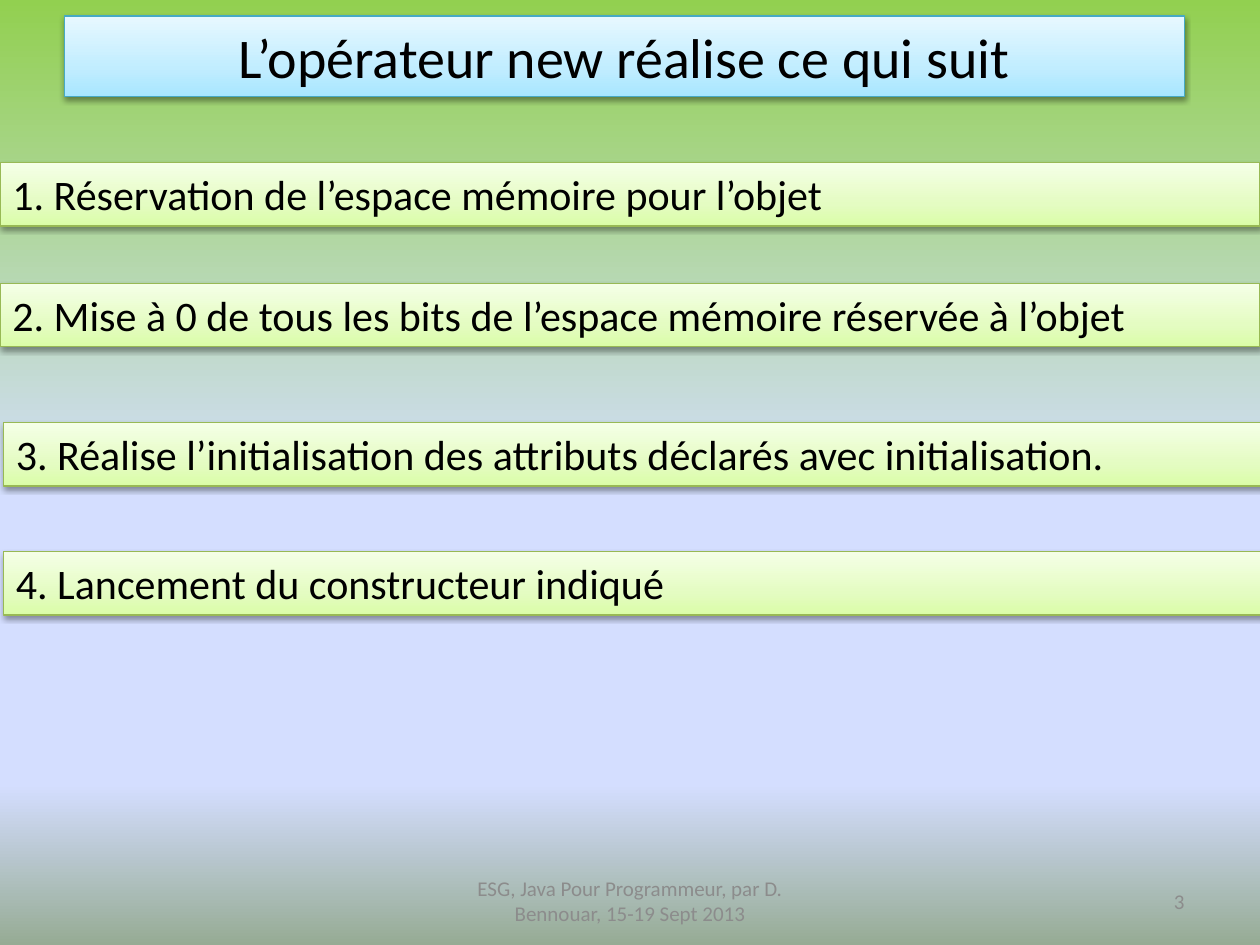
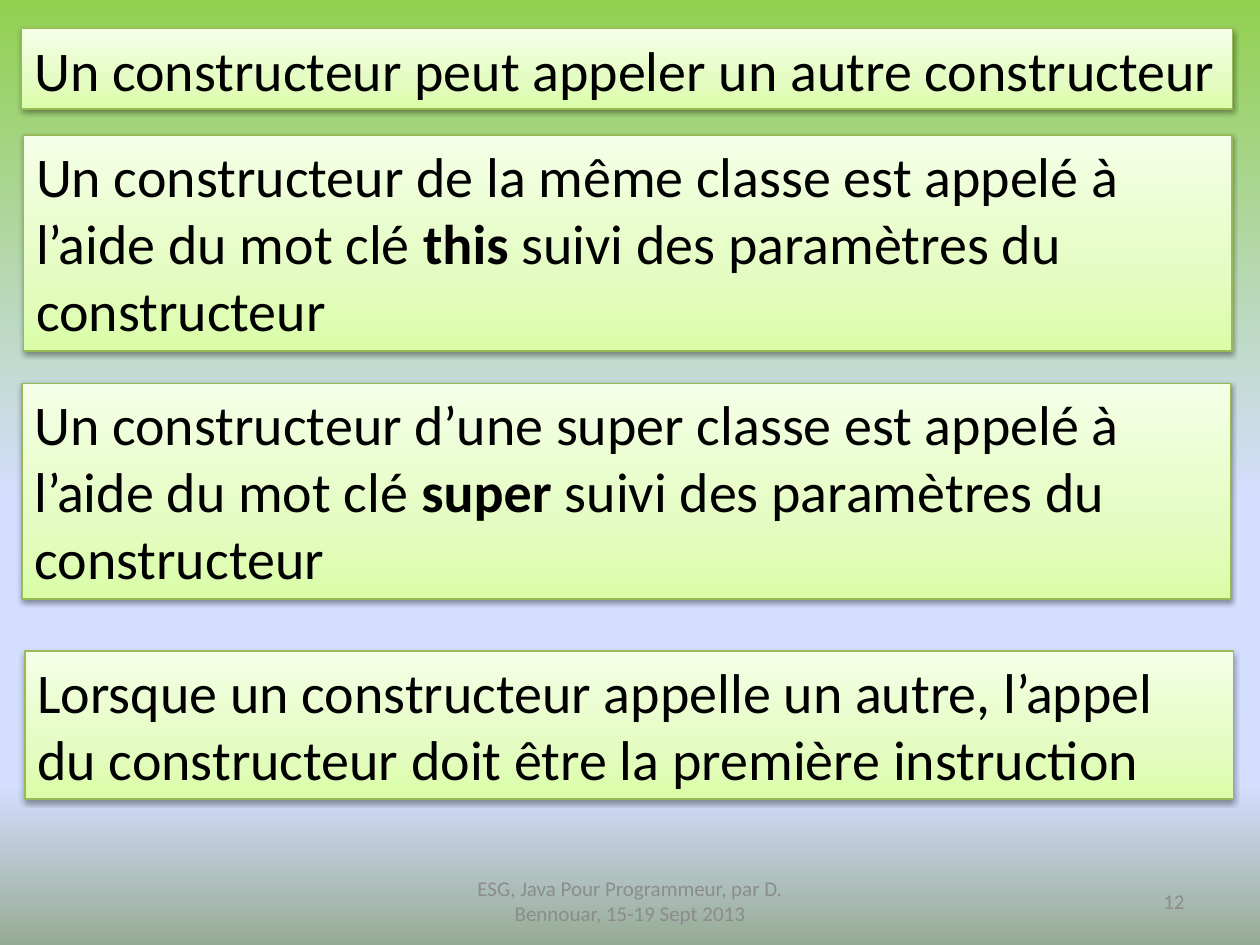
from lxml import etree
from pptx import Presentation
from pptx.dml.color import RGBColor
from pptx.enum.shapes import MSO_SHAPE
from pptx.enum.text import MSO_ANCHOR, MSO_AUTO_SIZE, PP_ALIGN
from pptx.oxml.ns import qn
from pptx.util import Pt

RECTANGLE = MSO_SHAPE.RECTANGLE
TOP, MIDDLE = MSO_ANCHOR.TOP, MSO_ANCHOR.MIDDLE
LEFT, CENTER, RIGHT = PP_ALIGN.LEFT, PP_ALIGN.CENTER, PP_ALIGN.RIGHT
GROW = MSO_AUTO_SIZE.SHAPE_TO_FIT_TEXT

FONT = "Calibri"
BLACK, GREY = "000000", "8C8C8C"
BACKGROUND = [(0, "92D050"), (53, "D4DEFF"), (83, "D4DEFF"), (100, "96AB94")]
GREEN = {"stops": [(0, "DAFDA7"), (35, "E4FCC2"), (100, "F5FFE7")], "line": "98B955"}
BLUE = {"stops": [(0, "A7E6FF"), (35, "C1EDFF"), (100, "E7F8FF")], "line": "46AAC5"}
DOWNWARD, UPWARD = 270, 90
INSET_HEIGHT, LINE_SPACING = 7.2, 1.21

FOOTER = "ESG, Java Pour Programmeur, par D. Bennouar, 15-19 Sept 2013"
FOOTER_TOP, FOOTER_HEIGHT = 500.5, 28.75

TITLE = "L’opérateur new réalise ce qui suit"
STEPS = [
    (0, 93, "1. Réservation de l’espace mémoire pour l’objet"),
    (0, 162, "2. Mise à 0 de tous les bits de l’espace mémoire réservée à l’objet"),
    (2, 241.5, "3. Réalise l’initialisation des attributs déclarés avec initialisation."),
    (2, 315.25, "4. Lancement du constructeur indiqué"),
]
RULES = [
    (12.5, 16.5, 692, 1, [("Un constructeur peut appeler un autre constructeur", False)]),
    (13.5, 77.25, 690.5, 3, [
        ("Un constructeur de la même classe est appelé à l’aide du mot clé ", False),
        ("this", True), (" suivi des paramètres du constructeur", False)]),
    (12.5, 219, 690.5, 3, [
        ("Un constructeur d’une super classe est appelé à l’aide du mot clé ", False),
        ("super", True), (" suivi des paramètres du constructeur", False)]),
    (14.25, 372, 690.5, 2, [
        ("Lorsque un constructeur appelle un autre, l’appel du constructeur "
         "doit être la première instruction", False)]),
]


def color(value):
    """Turn a hex string into a colour."""
    return RGBColor.from_string(value)


def paint_gradient(fill, owner, stops, angle):
    """Fill the owner element with a linear gradient."""
    fill.gradient()
    fill.gradient_angle = angle
    stop_list = next(owner.iter(qn("a:gsLst")))
    for stop in list(stop_list):
        stop_list.remove(stop)
    for position, value in stops:
        stop = etree.SubElement(stop_list, qn("a:gs"), pos=str(position * 1000))
        etree.SubElement(stop, qn("a:srgbClr"), val=value)


def add_shadow(shape):
    """Give the shape a soft shadow below it."""
    shape.shadow.inherit = False
    effects = next(shape._element.iter(qn("a:effectLst")))
    shadow = etree.SubElement(effects, qn("a:outerShdw"), blurRad=str(Pt(3.1)),
                              dist=str(Pt(1.6)), dir="5400000", rotWithShape="0")
    black = etree.SubElement(shadow, qn("a:srgbClr"), val=BLACK)
    etree.SubElement(black, qn("a:alpha"), val="38000")


def write(shape, runs, size, value, alignment, anchor):
    """Write one paragraph, run by run."""
    frame = shape.text_frame
    frame.word_wrap = True
    frame.vertical_anchor = anchor
    paragraph = frame.paragraphs[0]
    paragraph.alignment = alignment
    for text, bold in runs:
        run = paragraph.add_run()
        run.text = text
        run.font.name = FONT
        run.font.size = Pt(size)
        run.font.bold = bold
        run.font.color.rgb = color(value)


def add_panel(slide, left, top, width, runs, size, style=GREEN, alignment=LEFT, lines=1):
    """Add a shaded panel as high as its lines of text."""
    height = INSET_HEIGHT + lines * size * LINE_SPACING
    panel = slide.shapes.add_shape(RECTANGLE, Pt(left), Pt(top), Pt(width), Pt(height))
    paint_gradient(panel.fill, panel._element, style["stops"], UPWARD)
    panel.line.color.rgb = color(style["line"])
    panel.line.width = Pt(0.75)
    add_shadow(panel)
    write(panel, runs, size, BLACK, alignment, TOP)
    panel.text_frame.auto_size = GROW


def add_slide(presentation, number):
    """Add a slide with the shared background, footer and number."""
    slide = presentation.slides.add_slide(presentation.slide_layouts[6])
    paint_gradient(slide.background.fill, slide._element, BACKGROUND, DOWNWARD)
    for left, width, text, alignment in [(246, 228, FOOTER, CENTER),
                                         (516, 168, number, RIGHT)]:
        box = slide.shapes.add_textbox(Pt(left), Pt(FOOTER_TOP), Pt(width), Pt(FOOTER_HEIGHT))
        write(box, [(text, False)], 12, GREY, alignment, MIDDLE)
    return slide


def main():
    """Build and save the presentation."""
    presentation = Presentation()
    presentation.slide_width, presentation.slide_height = Pt(720), Pt(540)

    slide = add_slide(presentation, "3")
    add_panel(slide, 36.75, 9.25, 640, [(TITLE, False)], 32, BLUE, CENTER)
    for left, top, text in STEPS:
        add_panel(slide, left, top, 720, [(text, False)], 24)

    slide = add_slide(presentation, "12")
    for left, top, width, lines, runs in RULES:
        add_panel(slide, left, top, width, runs, 32, lines=lines)

    presentation.save("out.pptx")


if __name__ == "__main__":
    main()
